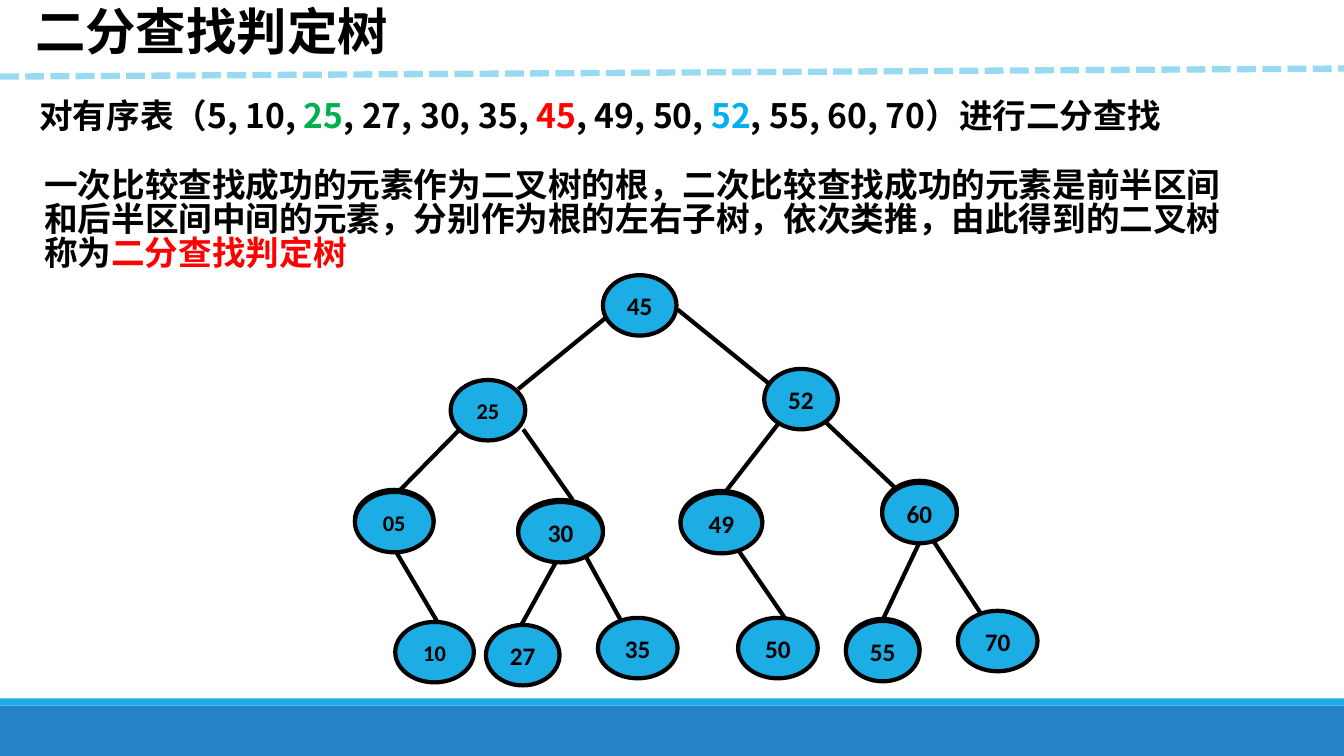
from lxml import etree
from pptx import Presentation
from pptx.dml.color import RGBColor
from pptx.enum.dml import MSO_LINE
from pptx.enum.shapes import MSO_CONNECTOR, MSO_SHAPE
from pptx.enum.text import MSO_ANCHOR, PP_ALIGN
from pptx.oxml.ns import qn
from pptx.util import Pt

RECT, OVAL = MSO_SHAPE.RECTANGLE, MSO_SHAPE.OVAL
LINE, DASH = MSO_CONNECTOR.STRAIGHT, MSO_LINE.SQUARE_DOT
MID, TOP = MSO_ANCHOR.MIDDLE, MSO_ANCHOR.TOP
CENTER, LEFT = PP_ALIGN.CENTER, PP_ALIGN.LEFT
SCALE = 9144
CJK, LATIN = "Noto Sans CJK SC", "Calibri"
BLACK, RED, GREEN, CYAN, BLUE = "000000", "FF0000", "00B050", "00B0F0", "1CADE4"

NODES = [
    ("45", 598, 273, 73, 18), ("25", 447, 377, 74, 16), ("52", 758, 366, 73, 18),
    ("05", 352, 488, 78, 16), ("30", 514, 498, 84, 18), ("49", 675, 489, 81, 18),
    ("60", 875, 479, 74, 18), ("10", 392, 617, 78, 16), ("27", 482, 620, 73, 18),
    ("35", 593, 613, 79, 18), ("50", 732, 613, 79, 18), ("55", 839, 616, 73, 18),
    ("70", 950, 606, 79, 18),
]
DOUBLE = {"05", "30", "49", "60", "55"}
EDGES = [
    (606, 311, 514, 386), (672, 307, 762, 380), (456, 426, 397, 486),
    (519, 426, 568, 496), (773, 419, 721, 486), (819, 419, 890, 486),
    (392, 546, 435, 619), (554, 553, 516, 622), (581, 552, 616, 616),
    (731, 544, 779, 614), (911, 540, 875, 616), (926, 537, 973, 609),
]


def px(*nums):
    return [n * SCALE for n in nums]


def color(code):
    return RGBColor.from_string(code)


def write(shape, runs, size=24, font=CJK, align=LEFT, anchor=TOP, wrap=True, space=None, inset=None):
    frame = shape.text_frame
    frame.word_wrap = wrap
    frame.vertical_anchor = anchor
    if inset is not None:
        frame.margin_left = frame.margin_right = inset
        frame.margin_top = frame.margin_bottom = inset
    para = frame.paragraphs[0]
    para.alignment = align
    if space:
        para.line_spacing = space
    for text, tint in runs:
        run = para.add_run()
        run.text = text
        run.font.size = Pt(size)
        run.font.bold = True
        run.font.name = font
        run.font.color.rgb = color(tint)
        etree.SubElement(run.font._element, qn("a:ea"), typeface=font)


def label(slide, box, runs, **style):
    write(slide.shapes.add_textbox(*px(*box)), runs, space=0.84, **style)


def solid(slide, kind, box, fill, edge=None):
    shape = slide.shapes.add_shape(kind, *px(*box))
    shape.shadow.inherit = False
    shape.fill.solid()
    shape.fill.fore_color.rgb = color(fill)
    if edge:
        shape.line.color.rgb = color(edge)
        shape.line.width = Pt(3)
    else:
        shape.line.fill.background()
    return shape


def link(slide, ends, tint=BLACK, width=3, dash=None):
    line = slide.shapes.add_connector(LINE, *px(*ends))
    line.line.color.rgb = color(tint)
    line.line.width = Pt(width)
    if dash:
        line.line.dash_style = dash
    etree.SubElement(line._element.spPr, qn("a:effectLst"))


def node(slide, name, left, top, width, size):
    if name in DOUBLE:
        solid(slide, OVAL, (left, top - 2, width, 60), BLUE, BLACK)
    shape = solid(slide, OVAL, (left, top, width, 60), BLUE, BLACK)
    write(shape, [(name, BLACK)], size=size, font=LATIN, align=CENTER,
          anchor=MID, wrap=False, inset=0)


def main():
    deck = Presentation()
    deck.slide_width, deck.slide_height = px(1333, 750)
    slide = deck.slides.add_slide(deck.slide_layouts[6])
    solid(slide, RECT, (0, 700, 1333, 50), "2683C6")
    solid(slide, RECT, (0, 693, 1333, 7), BLUE)
    link(slide, (0, 76, 1333, 68), "99DAF3", 4.5, DASH)
    label(slide, (25, 5, 374, 71), [("二分查找判定树", BLACK)], size=36, wrap=False)
    label(slide, (29, 96, 1185, 50), [
        ("对有序表（5, 10, ", BLACK), ("25", GREEN), (", 27, 30, 35, ", BLACK),
        ("45", RED), (", 49, 50, ", BLACK), ("52", CYAN),
        (", 55, 60, 70）进行二分查找", BLACK)])
    label(slide, (34, 164, 1200, 132), [
        ("一次比较查找成功的元素作为二叉树的根，二次比较查找成功的元素是前半区间"
         "和后半区间中间的元素，分别作为根的左右子树，依次类推，由此得到的二叉树称为", BLACK),
        ("二分查找判定树", RED)])
    for ends in EDGES:
        link(slide, ends)
    for item in NODES:
        node(slide, *item)
    deck.save("out.pptx")


if __name__ == "__main__":
    main()
